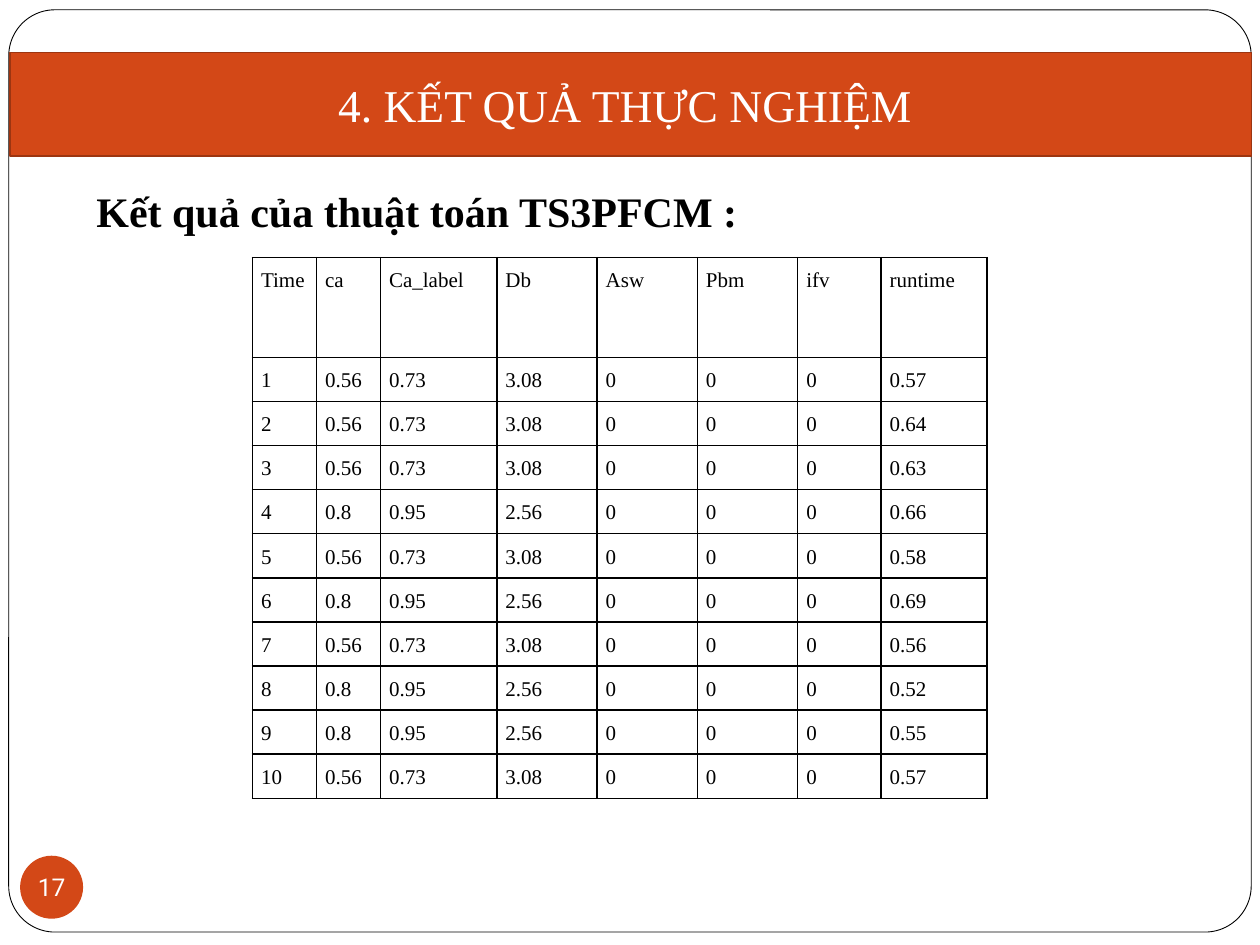
from pptx import Presentation
from pptx.util import Pt
from pptx.dml.color import RGBColor as Rgb
from pptx.enum.shapes import MSO_SHAPE as Geo
from pptx.enum.text import PP_ALIGN as Align, MSO_ANCHOR as Anchor
from pptx.oxml import parse_xml

INK = {"black": "000000", "white": "FFFFFF", "rust": "D34817", "dark": "9C3511"}
NS = "http://schemas.openxmlformats.org/drawingml/2006/main"
SERIF = "Times New Roman"


def write(frame, text, color, font, para):
    item = frame.paragraphs[0]
    for name, value in para.items():
        setattr(item, name, value)
    run = item.add_run()
    run.text = text
    for name, value in font.items():
        setattr(run.font, name, value)
    run.font.color.rgb = Rgb.from_string(INK[color])


def paint(shape, fill, line=None, width=1):
    shape.fill.solid()
    shape.fill.fore_color.rgb = Rgb.from_string(INK[fill])
    if line:
        shape.line.color.rgb = Rgb.from_string(INK[line])
        shape.line.width = Pt(width)
    else:
        shape.line.fill.background()


deck = Presentation()
deck.slide_width, deck.slide_height = Pt(720), Pt(540)
slide = deck.slides.add_slide(deck.slide_layouts[5])
shapes = slide.shapes

title = shapes.title
frame = shapes.add_shape(Geo.ROUNDED_RECTANGLE, Pt(5), Pt(5.6), Pt(710), Pt(527))
frame.adjustments[0] = 0.05
frame.shadow.inherit = False
paint(frame, "white", "black", 0.5)
title.element.addprevious(frame.element)

box = {"left": 5.8, "top": 30, "width": 709.4, "height": 59.3}
for name, value in box.items():
    setattr(title, name, Pt(value))
paint(title, "rust", "dark")
title.text_frame.vertical_anchor = Anchor.MIDDLE
write(title.text_frame, "4. KẾT QUẢ THỰC NGHIỆM ", "white",
      {"name": SERIF, "size": Pt(26)}, {"alignment": Align.CENTER})

head = shapes.add_textbox(Pt(48), Pt(102.2), Pt(636), Pt(372))
head.text_frame.word_wrap = True
write(head.text_frame, "Kết quả của thuật toán TS3PFCM :", "black",
      {"name": SERIF, "size": Pt(24), "bold": True}, {"space_before": Pt(5.8)})

badge = shapes.add_shape(Geo.OVAL, Pt(11.5), Pt(489), Pt(36), Pt(36))
badge.shadow.inherit = False
paint(badge, "rust")
inset = {"margin_left": 0, "margin_right": 0, "margin_top": 0, "margin_bottom": 0}
for name, value in inset.items():
    setattr(badge.text_frame, name, value)
badge.text_frame.word_wrap = False
badge.text_frame.vertical_anchor = Anchor.MIDDLE
write(badge.text_frame, "17", "white",
      {"name": "Roboto", "size": Pt(14)}, {"alignment": Align.CENTER})

low = ["0.56", "0.73", "3.08"]
high = ["0.8", "0.95", "2.56"]
tests = [(low, "0.57"), (low, "0.64"), (low, "0.63"), (high, "0.66"), (low, "0.58"),
         (high, "0.69"), (low, "0.56"), (high, "0.52"), (high, "0.55"), (low, "0.57")]
rows = [["Time", "ca", "Ca_label", "Db", "Asw", "Pbm", "ifv", "runtime"]]
for count, (scores, time) in enumerate(tests, 1):
    rows.append([str(count), *scores, "0", "0", "0", time])

widths = [36.6, 36.6, 66.5, 57.3, 57.3, 57.3, 47.7, 60.6]
heights = [57] + [25.2] * len(tests)
table = shapes.add_table(len(rows), len(widths), Pt(144.2), Pt(147.2),
                         Pt(sum(widths)), Pt(sum(heights))).table
table.first_row = table.horz_banding = False
for col, width in zip(table.columns, widths):
    col.width = Pt(width)
for row, height in zip(table.rows, heights):
    row.height = Pt(height)

pad = {**inset, "margin_left": Pt(5), "margin_right": Pt(5)}
para = {"alignment": Align.JUSTIFY, "line_spacing": 1.5,
        "space_before": Pt(2), "space_after": Pt(2)}
for r, row in enumerate(rows):
    for c, text in enumerate(row):
        cell = table.cell(r, c)
        for name, value in pad.items():
            setattr(cell, name, value)
        write(cell.text_frame, text, "black", {"name": SERIF, "size": Pt(12)}, para)
        props = cell.fill
        props.background()
        edges = cell.text_frame._txBody.getparent().get_or_add_tcPr()
        for spot, side in enumerate(["lnL", "lnR", "lnT", "lnB"]):
            edges.insert(spot, parse_xml(
                f'<a:{side} xmlns:a="{NS}" w="{Pt(1)}"><a:solidFill>'
                f'<a:srgbClr val="{INK["black"]}"/></a:solidFill></a:{side}>'))

deck.save("out.pptx")
